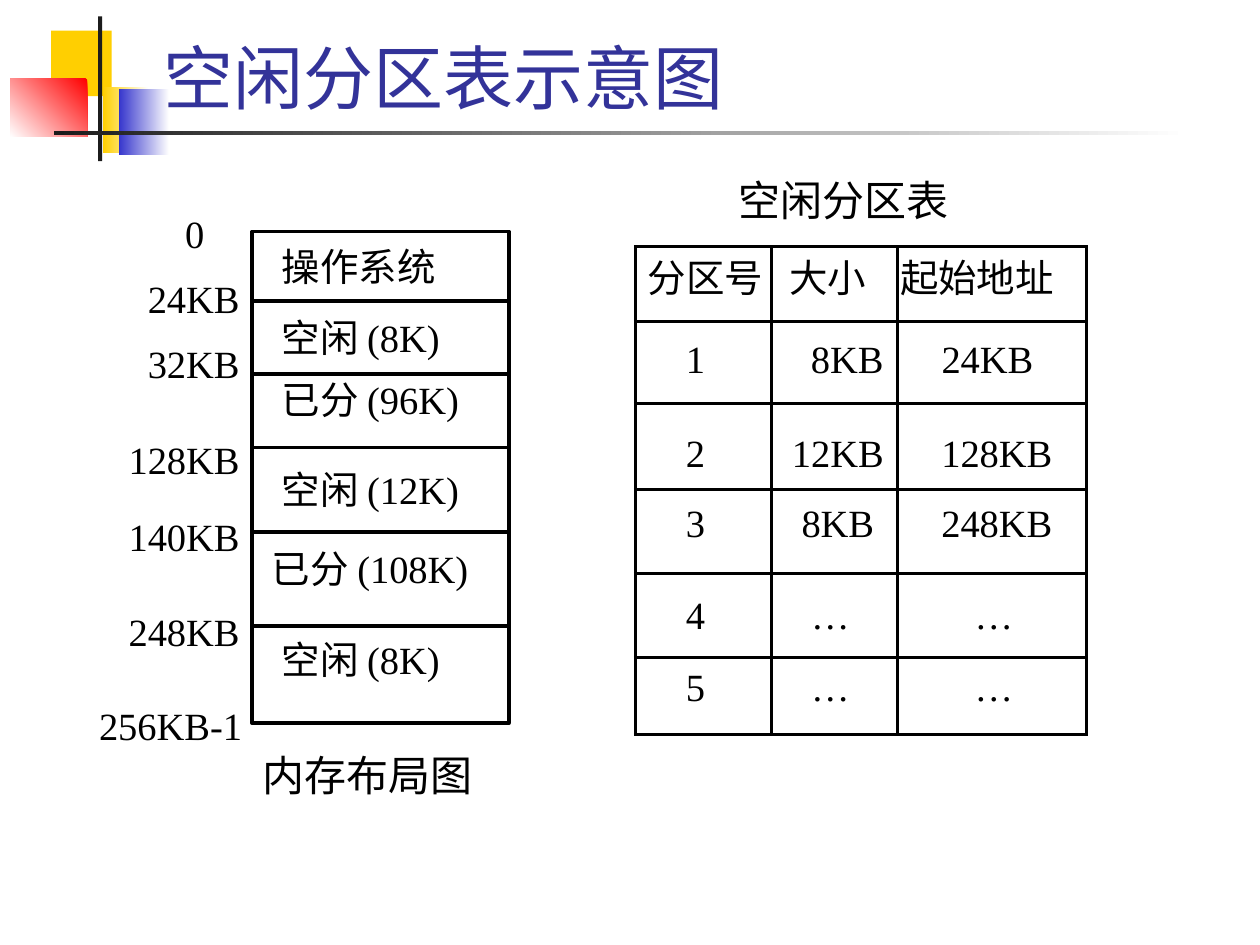
"""Build a slide showing a memory layout beside its free partition table."""
from lxml import etree
from pptx import Presentation
from pptx import util as u
from pptx.dml import color as c
from pptx.enum import shapes, text
from pptx.oxml import ns

ALIGN = text.PP_ALIGN
ANCHOR = text.MSO_ANCHOR


def rgb(value):
    return c.RGBColor.from_string(value)


def write(para, words, size, font, align, color="000000"):
    para.text = words
    para.alignment = align
    para.font.size = u.Pt(size)
    para.font.name = font
    para.font.color.rgb = rgb(color)


deck = Presentation()
deck.slide_width, deck.slide_height = u.Cm(25.4), u.Cm(19.05)
page = deck.slides.add_slide(deck.slide_layouts[6])

ornaments = [
    (1.03, 0.62, 1.22, 1.32, ["FFCF01"], 0),
    (2.08, 1.76, 0.91, 1.32, ["FFFFFF", "FFCF01"], 180),
    (2.39, 1.8, 1.02, 1.32, ["FFFFFF", "3333CC"], 180),
    (0.21, 1.59, 1.55, 1.17, ["FF0000", "FFFFFF"], 225),
    (1.98, 0.33, 0.08, 2.92, ["1C1C1C"], 0),
    (1.09, 2.64, 22.86, 0.08, ["FFFFFF", "1C1C1C"], 180),
]
for left, top, width, height, colors, angle in ornaments:
    ornament = page.shapes.add_shape(
        shapes.MSO_SHAPE.RECTANGLE, u.Cm(left), u.Cm(top), u.Cm(width), u.Cm(height))
    ornament.shadow.inherit = False
    ornament.line.fill.background()
    if len(colors) == 1:
        ornament.fill.solid()
        ornament.fill.fore_color.rgb = rgb(colors[0])
    else:
        ornament.fill.gradient()
        ornament.fill.gradient_angle = angle
        for stop, value in zip(ornament.fill.gradient_stops, colors):
            stop.color.rgb = rgb(value)

title = page.shapes.add_textbox(u.Cm(3.05), u.Cm(0.41), u.Cm(21.64), u.Cm(2.11))
title.text_frame.word_wrap = True
title.text_frame.vertical_anchor = ANCHOR.BOTTOM
write(title.text_frame.paragraphs[0], "空闲分区表示意图", 40, "Karla", ALIGN.LEFT, "333399")

for words, left, top in [("空闲分区表", 14.71, 3.33), ("内存布局图", 5.1, 14.92)]:
    caption = page.shapes.add_textbox(u.Cm(left), u.Cm(top), u.Cm(4.6), u.Cm(1.4))
    frame = caption.text_frame
    frame.margin_left = frame.margin_right = frame.margin_top = frame.margin_bottom = 0
    frame.vertical_anchor = ANCHOR.MIDDLE
    write(frame.paragraphs[0], words, 24, "Karla", ALIGN.CENTER)

memory = page.shapes.add_shape(
    shapes.MSO_SHAPE.RECTANGLE, u.Cm(5.08), u.Cm(4.67), u.Cm(5.18), u.Cm(9.91))
memory.shadow.inherit = False
memory.fill.solid()
memory.fill.fore_color.rgb = rgb("FFFFFF")
memory.line.color.rgb = rgb("000000")
memory.line.width = u.Pt(2)
memory.text_frame.margin_left = u.Cm(0.4)
memory.text_frame.margin_top = u.Cm(0.23)

for height in [6.07, 7.54, 9.02, 10.72, 12.62]:
    divider = page.shapes.add_connector(
        shapes.MSO_CONNECTOR.STRAIGHT, u.Cm(5.08), u.Cm(height), u.Cm(10.26), u.Cm(height))
    divider.line.color.rgb = rgb("000000")
    divider.line.width = u.Pt(2)
    etree.SubElement(divider._element.spPr, ns.qn("a:effectLst"))

addresses = page.shapes.add_textbox(u.Cm(1.88), u.Cm(4.19), u.Cm(3), u.Cm(10.8))
addresses.text_frame.margin_left = addresses.text_frame.margin_right = 0
addresses.text_frame.margin_top = u.Cm(0.05)

regions = [
    ("操作系统", 0, 0.2), ("空闲 (8K)", 14, 0.2), ("已分 (96K)", 9, 0.2),
    ("空闲 (12K)", 25.5, 0.2), ("已分 (108K)", 18.5, 0), ("空闲 (8K)", 25.5, 0.2),
]
labels = [
    ("0", 0, 0.76), ("24KB", 10.7, 0.05), ("32KB", 10.7, 0.05), ("128KB", 28.4, 0.05),
    ("140KB", 17.6, 0.05), ("248KB", 27.8, 0.05), ("256KB-1", 27.3, 0),
]
for holder, lines, align, side in [
        (memory, regions, ALIGN.LEFT, "marL"), (addresses, labels, ALIGN.RIGHT, "marR")]:
    frame = holder.text_frame
    frame.word_wrap = True
    frame.vertical_anchor = ANCHOR.TOP
    for number, (words, gap, indent) in enumerate(lines):
        para = frame.add_paragraph() if number else frame.paragraphs[0]
        para._p.get_or_add_pPr().set(side, str(u.Cm(indent)))
        if gap:
            para.space_before = u.Pt(gap)
        write(para, words, 22, "Times New Roman", align)

widths = [2.74, 2.54, 3.81]
partitions = [
    (1.52, -0.16, [("分区号", 0.04), ("大小", -0.14), ("起始地址", -0.3)]),
    (1.65, -0.04, [("1", -0.16), ("8KB", 0.26), ("24KB", -0.09)]),
    (1.73, 0.16, [("2", -0.16), ("12KB", 0.07), ("128KB", 0.1)]),
    (1.7, -0.14, [("3", -0.16), ("8KB", 0.07), ("248KB", 0.1)]),
    (1.68, 0.02, [("4", -0.16), ("…", -0.08), ("…", 0.04)]),
    (1.55, -0.14, [("5", -0.16), ("…", -0.08), ("…", 0.04)]),
]
table = page.shapes.add_table(
    len(partitions), len(widths), u.Cm(12.81), u.Cm(4.97),
    u.Cm(sum(widths)), u.Cm(sum(row[0] for row in partitions))).table
table.first_row = table.horz_banding = False
for column, width in zip(table.columns, widths):
    column.width = u.Cm(width)
for row, (height, drop, values) in zip(table.rows, partitions):
    row.height = u.Cm(height)
    for cell, (words, shift) in zip(row.cells, values):
        cell.margin_left = u.Cm(max(0, 2 * shift))
        cell.margin_right = u.Cm(max(0, -2 * shift))
        cell.margin_top = u.Cm(max(0, 2 * drop))
        cell.margin_bottom = u.Cm(max(0, -2 * drop))
        cell.vertical_anchor = ANCHOR.MIDDLE
        properties = cell._tc.get_or_add_tcPr()
        for side in ("a:lnL", "a:lnR", "a:lnT", "a:lnB"):
            border = etree.SubElement(properties, ns.qn(side), w=str(u.Pt(2)))
            fill = etree.SubElement(border, ns.qn("a:solidFill"))
            etree.SubElement(fill, ns.qn("a:srgbClr"), val="000000")
        cell.fill.solid()
        cell.fill.fore_color.rgb = rgb("FFFFFF")
        write(cell.text_frame.paragraphs[0], words, 22, "Times New Roman", ALIGN.CENTER)

deck.save("out.pptx")
